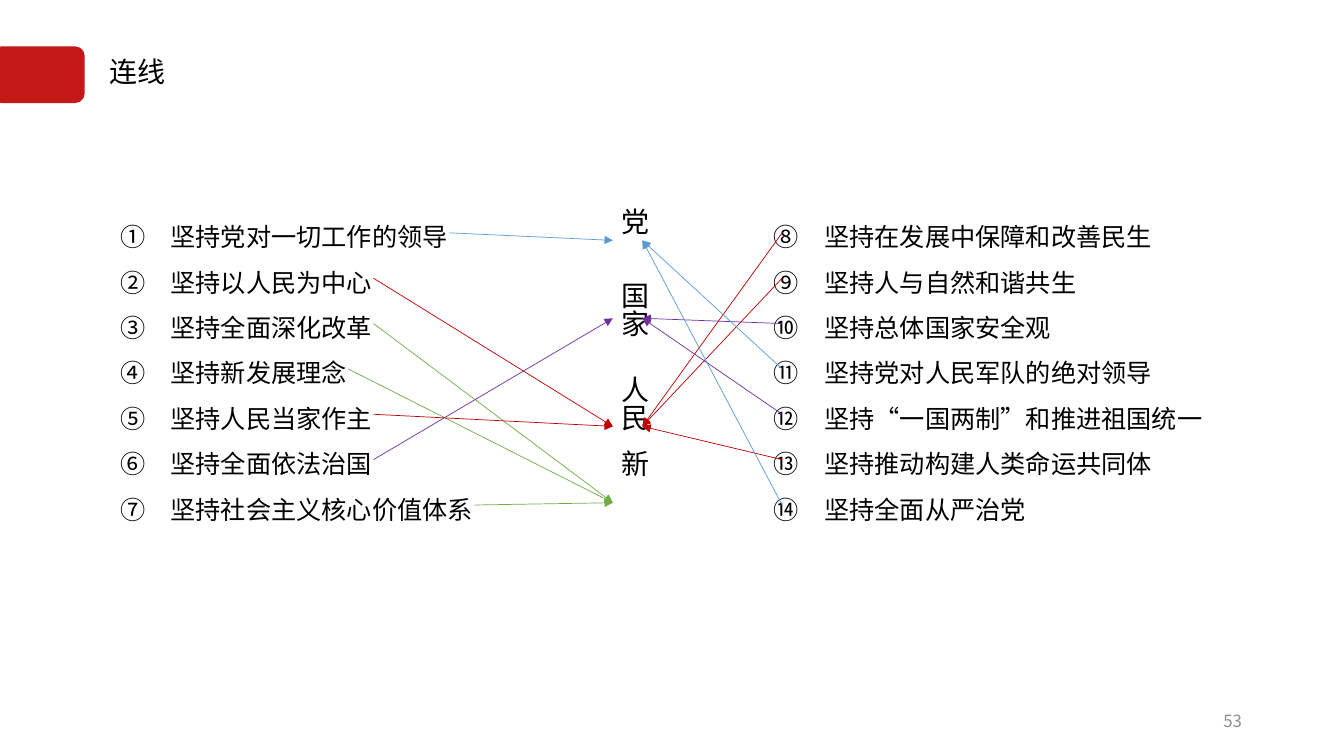
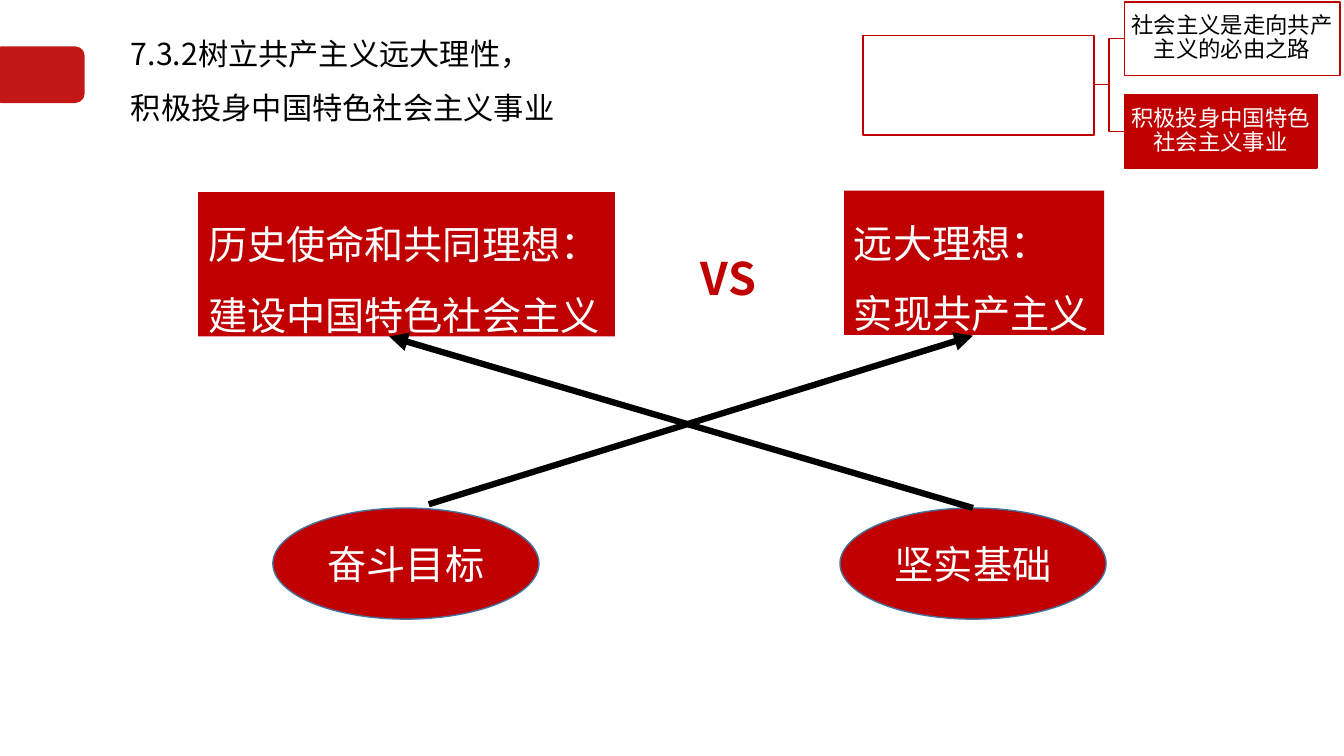
"""Builds two slides: a matching exercise and a comparison of ideals."""
from lxml import etree
from pptx import Presentation
from pptx.dml.color import RGBColor
from pptx.enum.shapes import MSO_CONNECTOR, MSO_SHAPE
from pptx.enum.text import MSO_ANCHOR, PP_ALIGN
from pptx.oxml.ns import qn
from pptx.util import Inches, Pt

RECTANGLE, ROUNDED, OVAL = MSO_SHAPE.RECTANGLE, MSO_SHAPE.ROUNDED_RECTANGLE, MSO_SHAPE.OVAL
STRAIGHT, ELBOW = MSO_CONNECTOR.STRAIGHT, MSO_CONNECTOR.ELBOW
LEFT, CENTER, RIGHT = PP_ALIGN.LEFT, PP_ALIGN.CENTER, PP_ALIGN.RIGHT
TOP, MIDDLE = MSO_ANCHOR.TOP, MSO_ANCHOR.MIDDLE

RED = RGBColor(0xC0, 0x00, 0x00)
TAB_RED = RGBColor(0xC4, 0x17, 0x17)
BLUE = RGBColor(0x5B, 0x9B, 0xD5)
GREEN = RGBColor(0x70, 0xAD, 0x47)
PURPLE = RGBColor(0x70, 0x30, 0xA0)
OUTLINE_BLUE = RGBColor(0x43, 0x73, 0x9E)
GRAY = RGBColor(0x8C, 0x8C, 0x8C)
BLACK = RGBColor(0x00, 0x00, 0x00)
WHITE = RGBColor(0xFF, 0xFF, 0xFF)
FONT = "Noto Sans CJK SC"

presentation = Presentation()
presentation.slide_width = Inches(13.333)
presentation.slide_height = Inches(7.5)
COLUMN = presentation.slide_width / 100
ROW = presentation.slide_height / 100


def add_box(slide, area, text="", size=18, color=BLACK, kind=None, fill=None, line=None,
            align=LEFT, anchor=TOP, spacing=1.0, margin=None, bold=False):
    left, top, width, height = area
    place = [int(left * COLUMN), int(top * ROW), int(width * COLUMN), int(height * ROW)]
    if kind is None:
        shape = slide.shapes.add_textbox(*place)
    else:
        shape = slide.shapes.add_shape(kind, *place)
        shape.shadow.inherit = False
        if fill is None:
            shape.fill.background()
        else:
            shape.fill.solid()
            shape.fill.fore_color.rgb = fill
        if line is None:
            shape.line.fill.background()
        else:
            shape.line.color.rgb = line
            shape.line.width = Pt(1)
    frame = shape.text_frame
    frame.word_wrap = True
    frame.vertical_anchor = anchor
    if margin is not None:
        frame.margin_left = frame.margin_right = Inches(margin)
        frame.margin_top = frame.margin_bottom = Inches(margin)
    frame.text = text
    for paragraph in frame.paragraphs:
        paragraph.alignment = align
        paragraph.line_spacing = spacing
        for run in paragraph.runs:
            run.font.size = Pt(size)
            run.font.bold = bold
            run.font.color.rgb = color
            run.font.name = FONT
            etree.SubElement(run.font._element, qn("a:ea"), typeface=FONT)
    return shape


def add_line(slide, start, end, color, width, kind=STRAIGHT, arrow=True):
    connector = slide.shapes.add_connector(
        kind, int(start[0] * COLUMN), int(start[1] * ROW),
        int(end[0] * COLUMN), int(end[1] * ROW))
    connector.line.color.rgb = color
    connector.line.width = Pt(width)
    if arrow:
        etree.SubElement(connector.line._get_or_add_ln(), qn("a:tailEnd"), type="triangle")
    etree.SubElement(connector._element.spPr, qn("a:effectLst"))


TITLES = [
    ("连线", (7.4, 4.7, 13.2, 7.3), 20),
    ("7.3.2树立共产主义远大理性，\n积极投身中国特色社会主义事业", (9, 2.4, 45.2, 14), 21.6),
]
slides = []
for title, area, size in TITLES:
    slide = presentation.slides.add_slide(presentation.slide_layouts[6])
    add_box(slide, (-0.6, 6.13, 6.9, 7.5), kind=ROUNDED, fill=TAB_RED)
    add_box(slide, area, title, size, anchor=MIDDLE, spacing=1.5)
    slides.append(slide)
matching, comparison = slides

KEYWORDS = {
    "党": (32, 31.8, BLUE),
    "国家": (41.8, 42.1, PURPLE),
    "人民": (54.2, 56.4, RED),
    "新": (64, 66.5, GREEN),
}
LEFT_ITEMS = [
    ("坚持党对一切工作的领导", "党"),
    ("坚持以人民为中心", "人民"),
    ("坚持全面深化改革", "新"),
    ("坚持新发展理念", "新"),
    ("坚持人民当家作主", "人民"),
    ("坚持全面依法治国", "国家"),
    ("坚持社会主义核心价值体系", "新"),
]
RIGHT_ITEMS = [
    ("坚持在发展中保障和改善民生", "人民"),
    ("坚持人与自然和谐共生", "人民"),
    ("坚持总体国家安全观", "国家"),
    ("坚持党对人民军队的绝对领导", "党"),
    ("坚持“一国两制”和推进祖国统一", "国家"),
    ("坚持推动构建人类命运共同体", "人民"),
    ("坚持全面从严治党", "党"),
]

for word, (center, _, _) in KEYWORDS.items():
    keyword_box = add_box(matching, (45.2, center - 4.5, 4, 9), word, 20,
                          align=CENTER, anchor=MIDDLE, margin=0)
    keyword_box.text_frame._txBody.bodyPr.set("vert", "eaVert")

for items, list_left, first_number in ((LEFT_ITEMS, 8.2, 1), (RIGHT_ITEMS, 56.85, 8)):
    list_box = add_box(matching, (list_left, 26.67, 40, 43),
                       "\n".join(text for text, _ in items), spacing=1.5)
    for paragraph in list_box.text_frame.paragraphs:
        properties = paragraph._p.get_or_add_pPr()
        properties.set("marL", str(Inches(0.5)))
        properties.set("indent", str(-Inches(0.5)))
        etree.SubElement(properties, qn("a:buAutoNum"), type="circleNumDbPlain",
                         startAt=str(first_number))
    for index, (text, word) in enumerate(items):
        _, target_row, color = KEYWORDS[word]
        if items is LEFT_ITEMS:
            start_column, target_column = 12.75 + 1.88 * len(text), 45.6
        else:
            start_column, target_column = 58.2, 47.8
        add_line(matching, (start_column, 30.8 + 6 * index), (target_column, target_row),
                 color, 0.5)

add_box(matching, (70.65, 92.7, 22.5, 5.3), "53", 12, GRAY, align=RIGHT, anchor=MIDDLE)

IDEALS = [
    ("历史使命和共同理想：\n建设中国特色社会主义", (14.75, 25.4, 31, 19.1)),
    ("远大理想：\n实现共产主义", (62.8, 25.2, 19.35, 19.1)),
]
for text, area in IDEALS:
    add_box(comparison, area, text, 28, WHITE, RECTANGLE, RED, spacing=1.5)
add_box(comparison, (50.4, 28.9, 7.6, 12.1), "VS", 32, RED,
        align=CENTER, anchor=MIDDLE, spacing=1.5, bold=True)
for text, left in (("奋斗目标", 20.3), ("坚实基础", 62.5)):
    add_box(comparison, (left, 67.2, 19.8, 14.7), text, 28, WHITE, OVAL, RED, OUTLINE_BLUE,
            align=CENTER, anchor=MIDDLE)
add_line(comparison, (31.9, 66.7), (72.4, 44.4), BLACK, 4.5)
add_line(comparison, (72.4, 67.2), (28.95, 44.5), BLACK, 4.5)

BRANCHES = [
    ("社会主义是走向共产主义的必由之路", 0.27, 16.05, BLACK, None),
    ("积极投身中国特色社会主义事业", 12.53, 14.35, WHITE, RED),
]
BRANCH_LEFT, BRANCH_HEIGHT = 83.65, 9.7
add_box(comparison, (64.2, 4.67, 17.2, 13.2), kind=RECTANGLE, fill=WHITE, line=RED)
for text, top, width, color, fill in BRANCHES:
    add_line(comparison, (81.4, 11.2), (BRANCH_LEFT, top + BRANCH_HEIGHT / 2), RED, 1,
             ELBOW, arrow=False)
    add_box(comparison, (BRANCH_LEFT, top, width, BRANCH_HEIGHT), text, 16, color, RECTANGLE,
            fill, RED, align=CENTER, anchor=MIDDLE, spacing=0.9, margin=0.01)

presentation.save("out.pptx")
